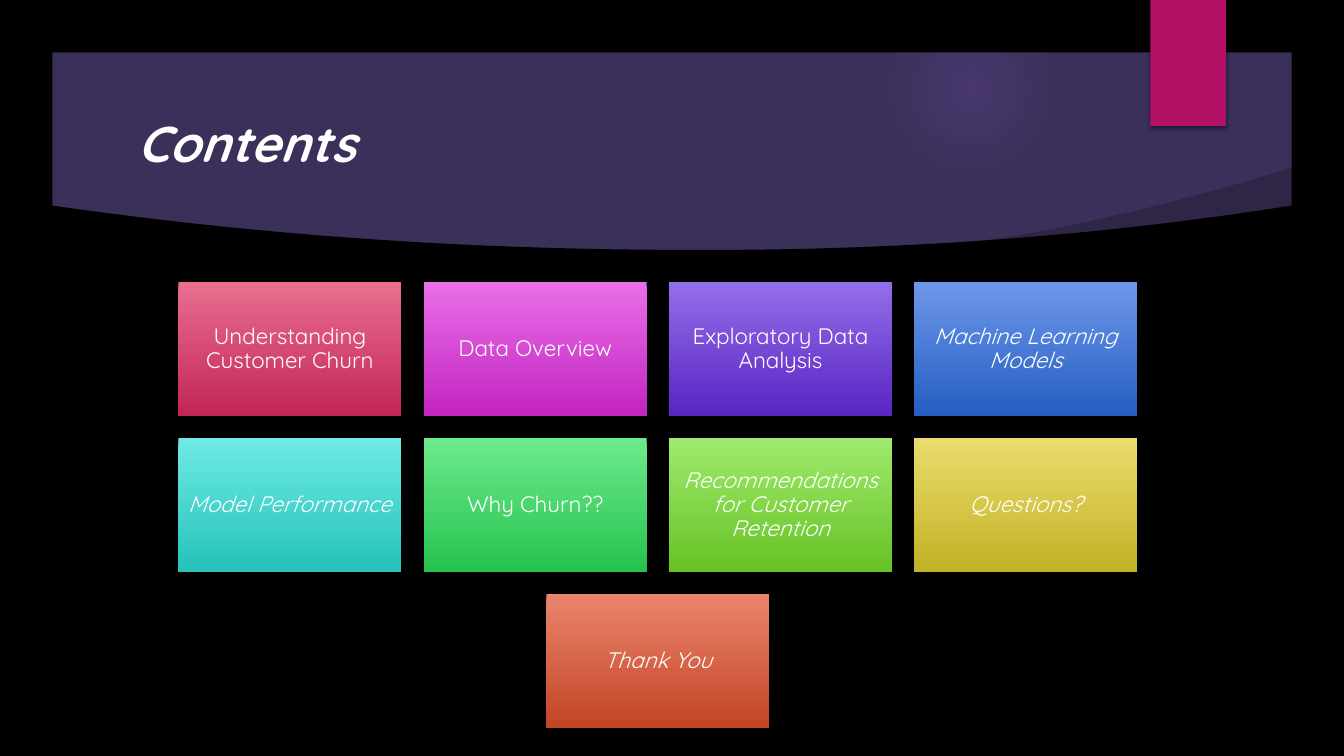
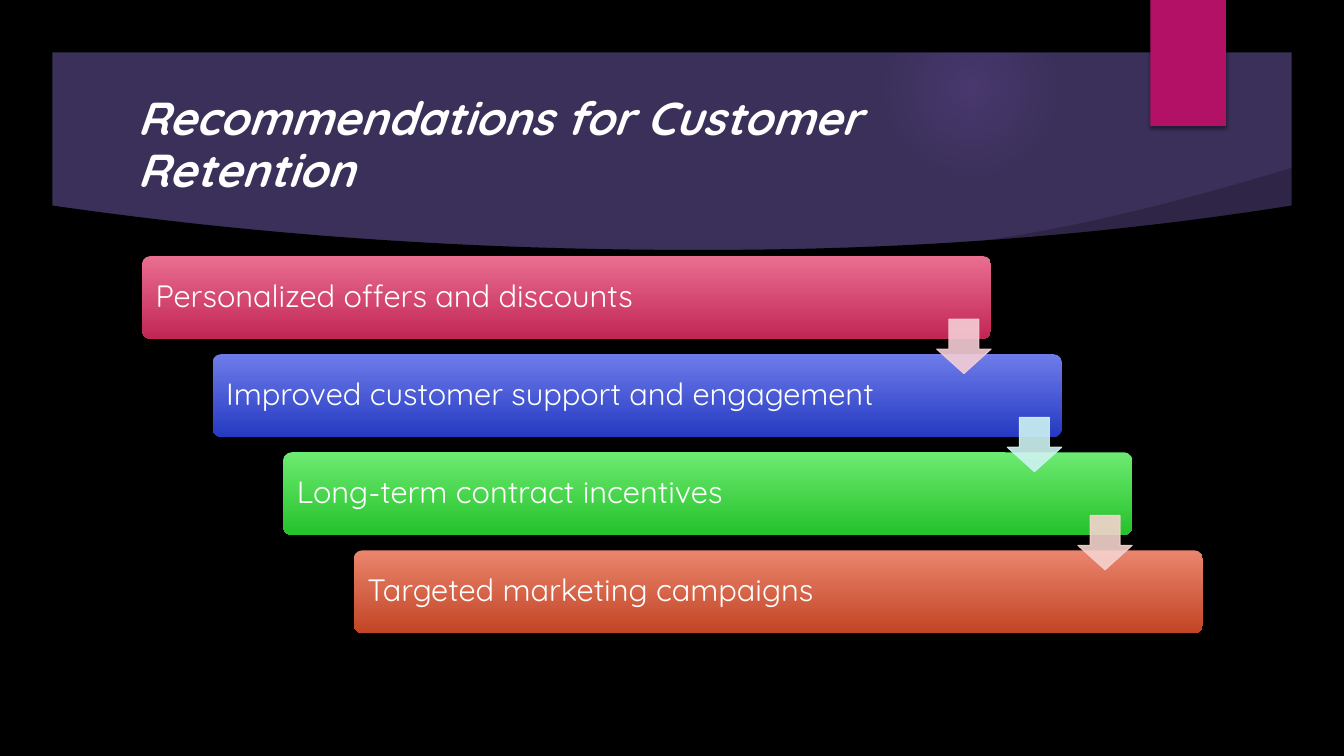
import pptx
import pptx.dml.color
import pptx.enum.shapes
import pptx.enum.text
import pptx.oxml
import pptx.oxml.ns
import pptx.util
import lxml.etree

Inches = pptx.util.Inches
Pt = pptx.util.Pt
SHAPES = pptx.enum.shapes.MSO_SHAPE
ALIGN = pptx.enum.text.PP_ALIGN
MIDDLE = pptx.enum.text.MSO_ANCHOR.MIDDLE
qn = pptx.oxml.ns.qn
nsdecls = pptx.oxml.ns.nsdecls

FONT = "Quicksand"
SLIDE_W, SLIDE_H = 13.33, 7.5
COLORS = {
    "band": "3B3059",
    "frame": "000000",
    "glow": "9B6BF2",
    "ribbon": "B31166",
    "text": "FFFFFF",
}
GRADIENTS = {
    "rose": ("E96E90", "C22655"),
    "magenta": ("E96EE8", "C225C0"),
    "violet": ("936EE9", "5825C2"),
    "blue": ("6D97E9", "255EC2"),
    "indigo": ("6E7CE9", "253AC2"),
    "teal": ("6DEAE3", "25C2BB"),
    "mint": ("6DEA8C", "25C24F"),
    "green": ("6DEA71", "25C22B"),
    "lime": ("9FEA6D", "67C225"),
    "gold": ("EADC6D", "C2B225"),
    "orange": ("EA856D", "C24525"),
}
CONTENTS = [
    ("Understanding Customer Churn", "rose", False),
    ("Data Overview", "magenta", False),
    ("Exploratory Data Analysis", "violet", False),
    ("Machine Learning Models", "blue", True),
    ("Model Performance", "teal", True),
    ("Why Churn??", "mint", False),
    ("Recommendations for Customer Retention", "lime", True),
    ("Questions?", "gold", True),
    ("Thank You", "orange", True),
]
RECOMMENDATIONS = [
    ("Personalized offers and discounts", "rose", "F4CED5"),
    ("Improved customer support and engagement", "indigo", "CEF4F3"),
    ("Long-term contract incentives", "green", "F5D3CE"),
    ("Targeted marketing campaigns", "orange", None),
]


def rgb(value):
    return pptx.dml.color.RGBColor.from_string(value)


def paint(shape, color, alpha=100):
    shape.shadow.inherit = False
    shape.fill.solid()
    shape.fill.fore_color.rgb = rgb(color)
    shape.line.fill.background()
    if alpha < 100:
        set_alpha(shape, alpha)


def set_alpha(shape, alpha):
    for color in shape._element.spPr.iter(qn("a:srgbClr")):
        lxml.etree.SubElement(color, qn("a:alpha")).set("val", str(alpha * 1000))


def paint_gradient(shape, name):
    shape.shadow.inherit = False
    shape.line.fill.background()
    shape.fill.gradient()
    shape.fill.gradient_angle = 270
    for stop, color in zip(shape.fill.gradient_stops, GRADIENTS[name]):
        stop.color.rgb = rgb(color)


def add_box(slide, kind, left, top, width, height):
    return slide.shapes.add_shape(
        kind, Inches(left), Inches(top), Inches(width), Inches(height))


def format_text(shape, text, size, align, bold=False, italic=False, spacing=0.9):
    frame = shape.text_frame
    frame.text = text
    frame.word_wrap = True
    frame.auto_size = pptx.enum.text.MSO_AUTO_SIZE.NONE
    frame.vertical_anchor = MIDDLE
    paragraph = frame.paragraphs[0]
    paragraph.alignment = align
    paragraph.line_spacing = spacing
    font = paragraph.font
    font.name, font.size = FONT, Pt(size)
    font.bold, font.italic = bold, italic
    font.color.rgb = rgb(COLORS["text"])


def set_margins(shape, side, vertical):
    frame = shape.text_frame
    frame.margin_left = frame.margin_right = Inches(side)
    frame.margin_top = frame.margin_bottom = Inches(vertical)


def to_emu(points):
    return [(Inches(x), Inches(y)) for x, y in points]


def add_outline(slide, *contours):
    first, *others = [to_emu(contour) for contour in contours]
    builder = slide.shapes.build_freeform(*first[0])
    builder.add_line_segments(first[1:], close=True)
    for contour in others:
        builder.move_to(*contour[0])
        builder.add_line_segments(contour[1:], close=True)
    return builder.convert_to_shape()


def add_glow(slide, left, top, size):
    glow = add_box(slide, SHAPES.OVAL, left, top, size, size)
    paint(glow, COLORS["glow"])
    stops = "".join(
        f'<a:gs pos="{place * 1000}"><a:srgbClr val="{COLORS["glow"]}">'
        f'<a:alpha val="{alpha * 1000}"/></a:srgbClr></a:gs>'
        for place, alpha in ((0, 14), (36, 7), (73, 0)))
    gradient = pptx.oxml.parse_xml(
        f'<a:gradFill {nsdecls("a")}><a:gsLst>{stops}</a:gsLst><a:path path="circle">'
        '<a:fillToRect l="50000" t="50000" r="50000" b="50000"/></a:path></a:gradFill>')
    properties = glow._element.spPr
    properties.replace(properties.find(qn("a:solidFill")), gradient)


def add_shade(slide, left, right, top, bottom):
    steps = 24
    edge = [(left + (right - left) * i / steps,
             bottom - (bottom - top) * (i / steps) ** 1.4) for i in range(steps + 1)]
    shade = add_outline(slide, edge + [(right, bottom + 0.07), (left, bottom + 0.07)])
    paint(shade, COLORS["frame"], 20)


def add_frame(slide, left, top, right, side_bottom, bottom):
    steps, lowest = 80, 6.95
    curve = []
    for i in range(steps + 1):
        x = right - (right - left) * i / steps
        reach = right - lowest if x > lowest else lowest - left
        curve.append((x, bottom - (bottom - side_bottom) * (abs(x - lowest) / reach) ** 2.1))
    border = [(0, 0), (0, SLIDE_H), (SLIDE_W, SLIDE_H), (SLIDE_W, 0)]
    paint(add_outline(slide, border, [(left, top), (right, top)] + curve), COLORS["frame"])


def add_ribbon(slide, left, top, width, height):
    ribbon = add_box(slide, SHAPES.RECTANGLE, left, top, width, height)
    paint(ribbon, COLORS["ribbon"])
    effects = ribbon._element.spPr.find(qn("a:effectLst"))
    effects.append(pptx.oxml.parse_xml(
        f'<a:outerShdw {nsdecls("a")} blurRad="38100" dist="25400" dir="5400000" '
        'rotWithShape="0"><a:srgbClr val="000000"><a:alpha val="45000"/></a:srgbClr>'
        '</a:outerShdw>'))


def prepare_layout(layout, slide):
    layout.background.fill.solid()
    layout.background.fill.fore_color.rgb = rgb(COLORS["band"])
    for placeholder in list(layout.placeholders):
        if placeholder.placeholder_format.idx:
            layout.shapes._spTree.remove(placeholder._element)
        else:
            placeholder.left, placeholder.top = Inches(1.26), Inches(1.06)
            placeholder.width, placeholder.height = Inches(9.58), Inches(0.77)
    add_glow(slide, 8.75, 0.01, 1.75)
    add_shade(slide, 9.3, 12.83, 1.66, 2.43)
    add_frame(slide, 0.52, 0.52, 12.81, 2.04, 2.48)
    add_ribbon(slide, 11.41, 0, 0.75, 1.25)
    decorations = [shape for shape in slide.shapes if not shape.is_placeholder]
    for position, shape in enumerate(decorations, start=2):
        layout.shapes._spTree.insert(position, shape._element)


def set_title(slide, text, size):
    format_text(slide.shapes.title, text, size, ALIGN.LEFT,
                bold=True, italic=True, spacing=0.95)


def add_tiles(slide, left, top, width, height, columns=4, gap=0.22):
    rows = -(-len(CONTENTS) // columns)
    tile_w = (width - gap * (columns - 1)) / columns
    tile_h = (height - gap * (rows - 1)) / rows
    for index, (topic, color, italic) in enumerate(CONTENTS):
        row, column = divmod(index, columns)
        in_row = min(columns, len(CONTENTS) - row * columns)
        indent = (columns - in_row) * (tile_w + gap) / 2
        tile = add_box(slide, SHAPES.RECTANGLE, left + indent + column * (tile_w + gap),
                       top + row * (tile_h + gap), tile_w, tile_h)
        paint_gradient(tile, color)
        format_text(tile, topic, 16, ALIGN.CENTER, italic=italic)
        set_margins(tile, 0.07, 0.07)


def add_staircase(slide, left, top, width, height):
    step_w, step_h, arrow_size = 8.42, 0.82, 0.54
    shift = (width - step_w) / (len(RECOMMENDATIONS) - 1)
    pitch = (height - step_h) / (len(RECOMMENDATIONS) - 1)
    for index, (advice, color, _) in enumerate(RECOMMENDATIONS):
        step = add_box(slide, SHAPES.ROUNDED_RECTANGLE, left + index * shift,
                       top + index * pitch, step_w, step_h)
        step.adjustments[0] = 0.1
        paint_gradient(step, color)
        format_text(step, advice, 22, ALIGN.LEFT)
        set_margins(step, 0.11, 0.09)
    for index, (_, _, color) in enumerate(RECOMMENDATIONS[:-1]):
        gap_middle = top + index * pitch + (pitch + step_h) / 2
        arrow = add_box(slide, SHAPES.DOWN_ARROW, left + index * shift + step_w - arrow_size,
                        gap_middle - arrow_size / 2, arrow_size, arrow_size)
        arrow.adjustments[0], arrow.adjustments[1] = 0.55, 0.45
        paint(arrow, color)
        arrow.line.color.rgb = rgb(color)
        arrow.line.width = Pt(0.75)
        set_alpha(arrow, 90)


def main():
    presentation = pptx.Presentation()
    presentation.slide_width = Inches(SLIDE_W)
    presentation.slide_height = Inches(SLIDE_H)
    layout = presentation.slide_layouts[5]

    contents = presentation.slides.add_slide(layout)
    prepare_layout(layout, contents)
    set_title(contents, "Contents", 36)
    add_tiles(contents, 1.77, 2.8, 9.51, 4.42)

    recommendations = presentation.slides.add_slide(layout)
    set_title(recommendations, "Recommendations for Customer Retention", 33)
    add_staircase(recommendations, 1.41, 2.54, 10.52, 3.74)

    presentation.save("out.pptx")


if __name__ == "__main__":
    main()
